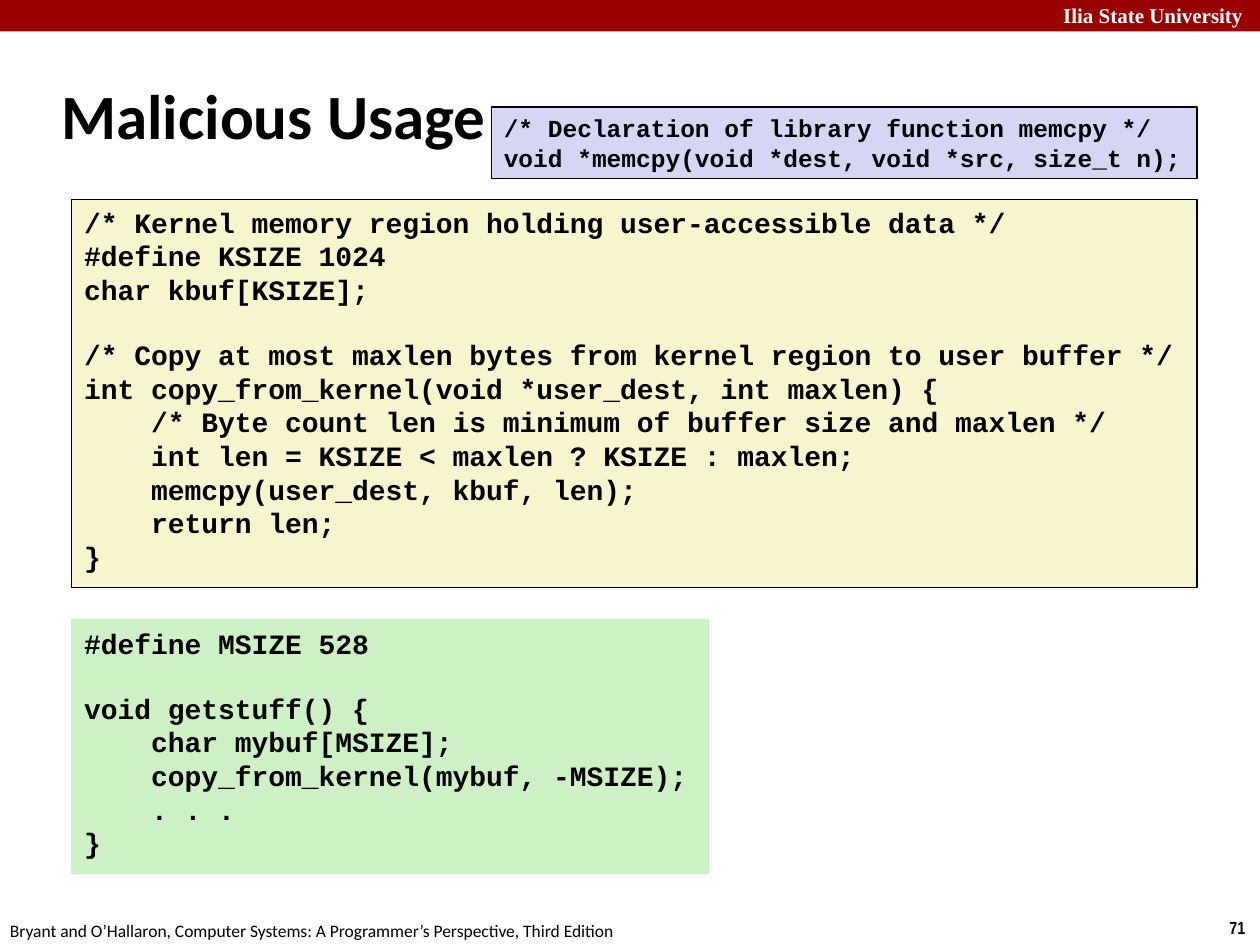
from pptx import Presentation
from pptx.dml.color import RGBColor
from pptx.enum.shapes import MSO_SHAPE
from pptx.enum.text import MSO_ANCHOR, PP_ALIGN
from pptx.util import Pt

RECTANGLE = MSO_SHAPE.RECTANGLE
TOP, MIDDLE = MSO_ANCHOR.TOP, MSO_ANCHOR.MIDDLE
LEFT = PP_ALIGN.LEFT

BLACK = RGBColor(0x00, 0x00, 0x00)
WHITE = RGBColor(0xFF, 0xFF, 0xFF)
CRIMSON = RGBColor(0x99, 0x00, 0x00)
CREAM = RGBColor(0xF7, 0xF5, 0xCD)
GREEN = RGBColor(0xCD, 0xF1, 0xC5)
LAVENDER = RGBColor(0xD5, 0xD5, 0xF4)

SLIDE_WIDTH, SLIDE_HEIGHT = 720, 540
BANNER_HEIGHT = 18
CODE_LEFT, CODE_RIGHT = 41, 684
CODE_LINE_HEIGHT = 1.13  # relative to the font size

# Labels: text, (left, top, width, height), font, size, bold, colour, anchor
LABELS = [
    ("Ilia State University", (600.5, -2.2, 124.5, 21.6),
     "Times New Roman", 12, True, WHITE, TOP),
    ("71", (695.5, 520.6, 24.5, 19.4), "Arial Narrow", 10, True, BLACK, TOP),
    ("Bryant and O’Hallaron, Computer Systems: A Programmer’s Perspective, Third Edition",
     (-1.4, 522, 365.8, 19.4), "Calibri", 10, False, BLACK, TOP),
    ("Malicious Usage", (28, 35.3, 597.6, 59.8), "Calibri", 36, True, BLACK, MIDDLE),
]

# Code, as sections that are set apart by one empty line
KERNEL_CODE = [
    """/* Kernel memory region holding user-accessible data */
#define KSIZE 1024
char kbuf[KSIZE];""",
    """/* Copy at most maxlen bytes from kernel region to user buffer */
int copy_from_kernel(void *user_dest, int maxlen) {
    /* Byte count len is minimum of buffer size and maxlen */
    int len = KSIZE < maxlen ? KSIZE : maxlen;
    memcpy(user_dest, kbuf, len);
    return len;
}""",
]
ATTACK_CODE = [
    "#define MSIZE 528",
    """void getstuff() {
    char mybuf[MSIZE];
    copy_from_kernel(mybuf, -MSIZE);
    . . .
}""",
]
MEMCPY_CODE = [
    """/* Declaration of library function memcpy */
void *memcpy(void *dest, void *src, size_t n);""",
]

# Code boxes: sections, left, top, right, height, size, fill, line
CODE_BOXES = [
    (KERNEL_CODE, CODE_LEFT, 113.8, CODE_RIGHT, 221.8, 16, CREAM, BLACK),
    (ATTACK_CODE, CODE_LEFT, 354.2, 404.6, 144.7, 16, GREEN, GREEN),
    (MEMCPY_CODE, 280.8, 61.2, CODE_RIGHT, 41, 14, LAVENDER, BLACK),
]


def add_rectangle(slide, box, fill, line=None):
    rectangle = slide.shapes.add_shape(RECTANGLE, *map(Pt, box))
    rectangle.shadow.inherit = False
    rectangle.fill.solid()
    rectangle.fill.fore_color.rgb = fill
    if line is None:
        rectangle.line.fill.background()
    else:
        rectangle.line.color.rgb = line
        rectangle.line.width = Pt(0.75)
    return rectangle


def write_line(paragraph, text, font, size, bold, color):
    paragraph.alignment = LEFT
    run = paragraph.add_run()
    run.text = text
    run.font.name = font
    run.font.size = Pt(size)
    run.font.bold = bold
    run.font.color.rgb = color


def add_label(slide, text, box, font, size, bold, color, anchor):
    frame = slide.shapes.add_textbox(*map(Pt, box)).text_frame
    frame.word_wrap = anchor == MIDDLE
    frame.vertical_anchor = anchor
    write_line(frame.paragraphs[0], text, font, size, bold, color)


def add_code(slide, sections, left, top, right, height, size, fill, line):
    box = (left, top, right - left, height)
    frame = add_rectangle(slide, box, fill, line).text_frame
    frame.word_wrap = True
    frame.vertical_anchor = TOP
    for section_index, section in enumerate(sections):
        for line_index, code_line in enumerate(section.split("\n")):
            first = section_index == line_index == 0
            paragraph = frame.paragraphs[0] if first else frame.add_paragraph()
            if section_index and not line_index:
                paragraph.space_before = Pt(round(size * CODE_LINE_HEIGHT, 1))
            write_line(paragraph, code_line, "Courier New", size, True, BLACK)


def main():
    deck = Presentation()
    deck.slide_width, deck.slide_height = Pt(SLIDE_WIDTH), Pt(SLIDE_HEIGHT)
    slide = deck.slides.add_slide(deck.slide_layouts[6])

    # Banner, then the labels and title over it
    add_rectangle(slide, (0, 0, SLIDE_WIDTH, BANNER_HEIGHT), CRIMSON)
    for label in LABELS:
        add_label(slide, *label)

    # Code boxes
    for code_box in CODE_BOXES:
        add_code(slide, *code_box)

    deck.save("out.pptx")


if __name__ == "__main__":
    main()
